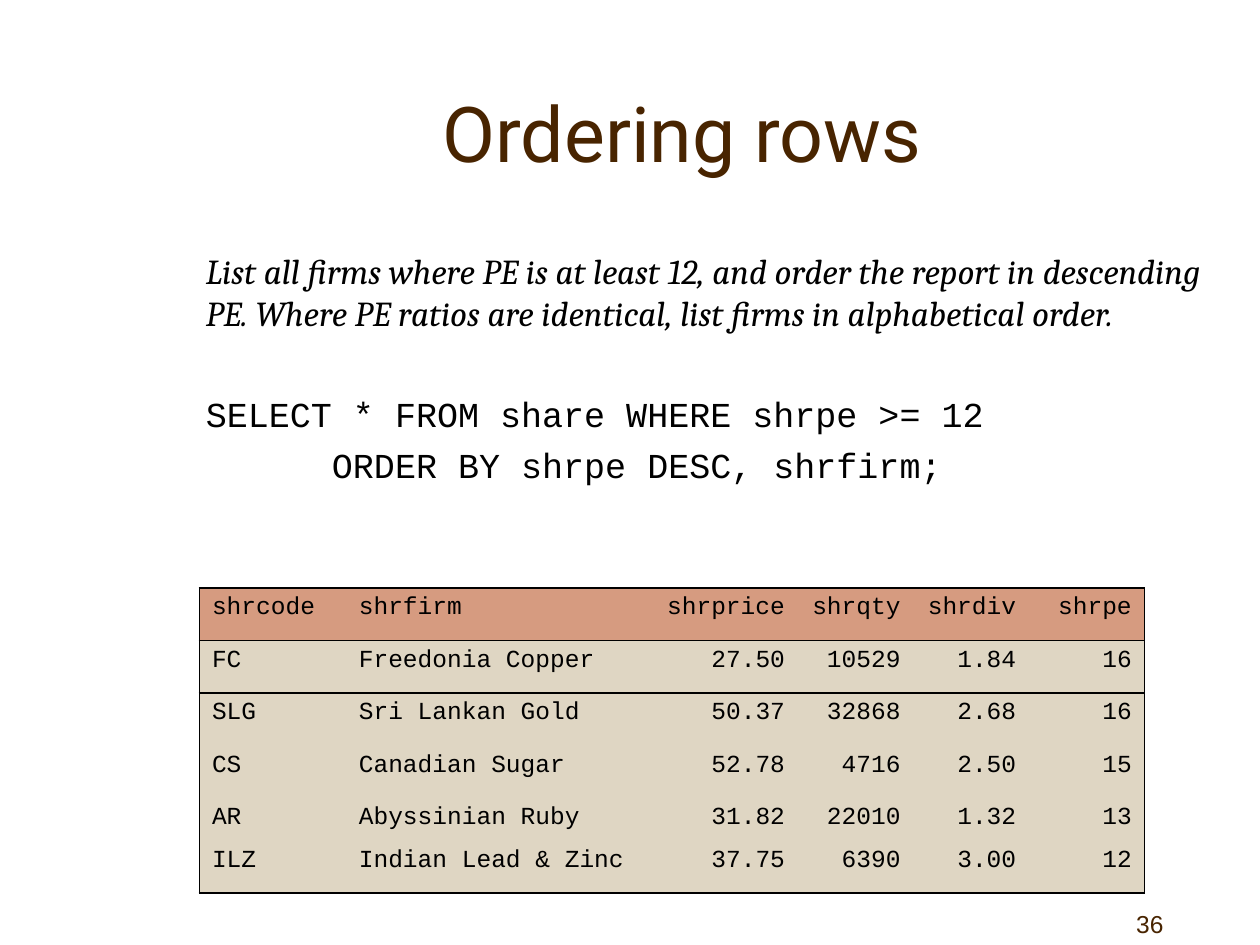
"""Build the "Ordering rows" slide: a SQL query and its result table."""
from lxml import etree
from pptx import Presentation
from pptx.dml.color import RGBColor
from pptx.enum.text import MSO_ANCHOR, PP_ALIGN
from pptx.oxml.ns import qn
from pptx.util import Cm, Pt

LEFT, CENTER, RIGHT = PP_ALIGN.LEFT, PP_ALIGN.CENTER, PP_ALIGN.RIGHT
TOP, MIDDLE, BOTTOM = MSO_ANCHOR.TOP, MSO_ANCHOR.MIDDLE, MSO_ANCHOR.BOTTOM
NO_STYLE_NO_GRID = "{2D5ABB26-0587-4C30-8999-92F81FD0307C}"
BROWN, BLACK, HEADER_FILL, BODY_FILL = "482400", "000000", "D69B80", "DFD6C3"

TITLE = {"name": "Roboto", "size": Pt(44)}
QUESTION = {"name": "Cambria", "size": Pt(20), "italic": True}
CODE = {"name": "Courier New", "size": Pt(20)}
CELL = {"name": "Courier New", "size": Pt(14)}
NUMBER = {"name": "Arial", "size": Pt(14)}


def color(hex_value):
    return RGBColor.from_string(hex_value)


def write(paragraph, text, font_values, hex_value, align=LEFT, space_before=0):
    paragraph.alignment = align
    paragraph.space_before = Pt(space_before)
    run = paragraph.add_run()
    run.text = text
    for attribute, value in font_values.items():
        setattr(run.font, attribute, value)
    run.font.color.rgb = color(hex_value)


prs = Presentation()
prs.slide_width, prs.slide_height = Cm(25.4), Cm(19.05)
slide = prs.slides.add_slide(prs.slide_layouts[6])

question = ("List all firms where PE is at least 12, and order the report in descending PE. "
            "Where PE ratios are identical, list firms in alphabetical order.")
text_blocks = [
    ((21.59, 17.78, 3.18, 1.27), BOTTOM, CENTER, 0.25, BROWN, [("36", NUMBER, 0)]),
    ((2.96, 1.06, 21.59, 3.18), MIDDLE, CENTER, 0.25, BROWN, [("Ordering rows", TITLE, 0)]),
    ((2.95, 4.9, 21.59, 11.43), TOP, LEFT, 1.2, BLACK, [
        (question, QUESTION, 0),
        ("SELECT * FROM share WHERE shrpe >= 12", CODE, 34),
        ("      ORDER BY shrpe DESC, shrfirm;", CODE, 5),
    ]),
]
for place, anchor, align, left_inset, hex_value, lines in text_blocks:
    frame = slide.shapes.add_textbox(*map(Cm, place)).text_frame
    frame.word_wrap = True
    frame.vertical_anchor = anchor
    frame.margin_left = Cm(left_inset)
    for index, (text, font_values, space_before) in enumerate(lines):
        paragraph = frame.add_paragraph() if index else frame.paragraphs[0]
        write(paragraph, text, font_values, hex_value, align, space_before)

shares = [
    ("shrcode", "shrfirm", "shrprice", "shrqty", "shrdiv", "shrpe"),
    ("FC", "Freedonia Copper", "27.50", "10529", "1.84", "16"),
    ("SLG", "Sri Lankan Gold", "50.37", "32868", "2.68", "16"),
    ("CS", "Canadian Sugar", "52.78", "4716", "2.50", "15"),
    ("AR", "Abyssinian Ruby", "31.82", "22010", "1.32", "13"),
    ("ILZ", "Indian Lead & Zinc", "37.75", "6390", "3.00", "12"),
]
column_widths = [2.96, 6.14, 2.96, 2.33, 2.33, 2.33]
row_heights = [1.06, 1.06, 1.06, 1.06, 0.85, 1.06]
last_row, last_column = len(shares) - 1, len(column_widths) - 1

result = slide.shapes.add_table(
    len(shares), len(column_widths), Cm(4.02), Cm(11.85),
    Cm(sum(column_widths)), Cm(sum(row_heights))).table
result.first_row = result.horz_banding = False
result._tbl.tblPr.find(qn("a:tableStyleId")).text = NO_STYLE_NO_GRID
for column, width in zip(result.columns, column_widths):
    column.width = Cm(width)
for row, height in zip(result.rows, row_heights):
    row.height = Cm(height)

for r, share in enumerate(shares):
    for c, value in enumerate(share):
        cell = result.cell(r, c)
        write(cell.text_frame.paragraphs[0], value, CELL, BLACK, RIGHT if c > 1 else LEFT)
        edges = {"a:lnL": c == 0, "a:lnR": c == last_column,
                 "a:lnT": r <= 1, "a:lnB": r in (0, last_row)}
        properties = cell._tc.get_or_add_tcPr()
        for edge, drawn in edges.items():
            if drawn:
                border = etree.SubElement(properties, qn(edge), w=str(Pt(1)))
                fill = etree.SubElement(border, qn("a:solidFill"))
                etree.SubElement(fill, qn("a:srgbClr"), val=BLACK)
        cell.fill.solid()
        cell.fill.fore_color.rgb = color(BODY_FILL if r else HEADER_FILL)

prs.save("out.pptx")
